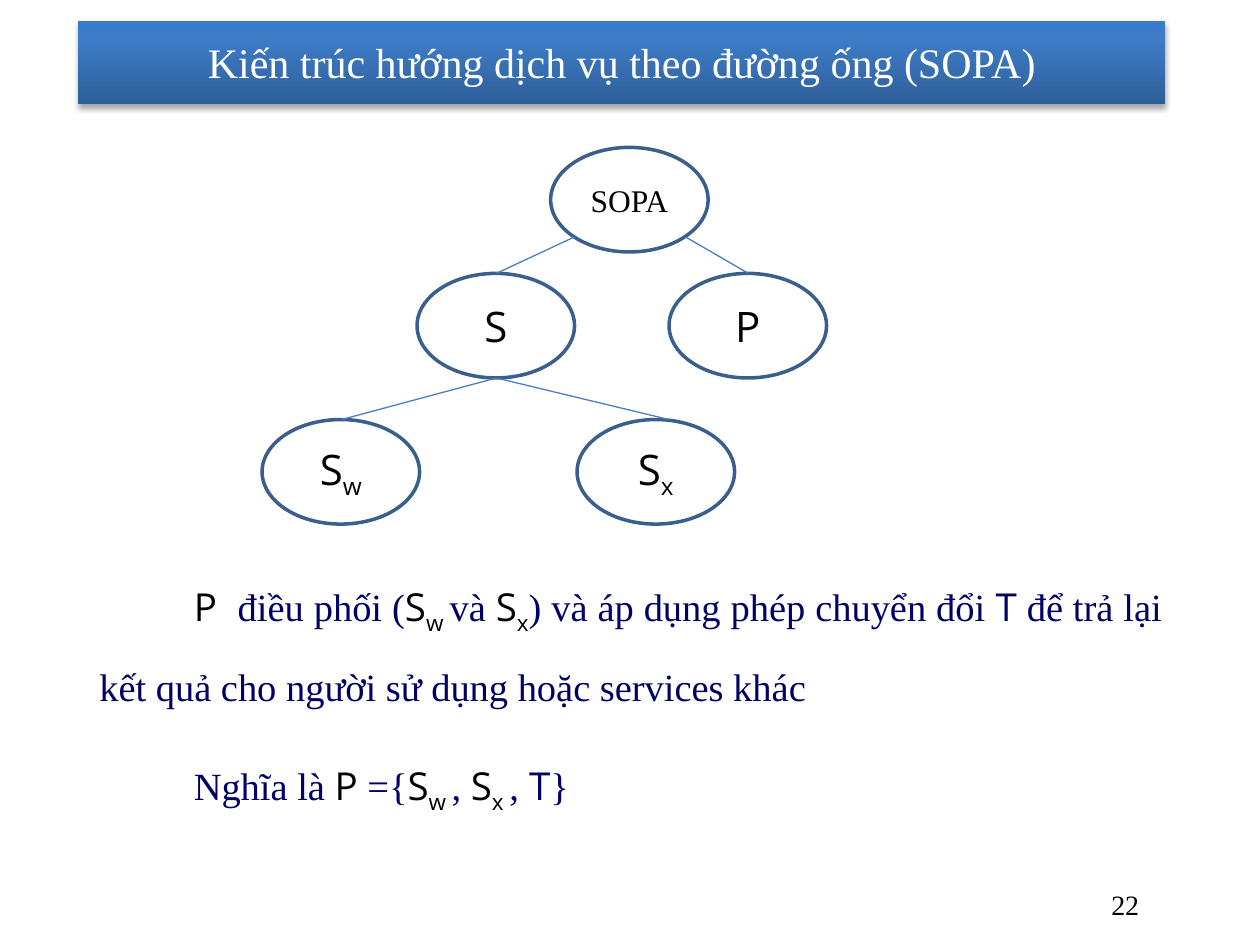
import pptx
import pptx.util
import pptx.dml.color
import pptx.enum.shapes
import pptx.enum.text
import pptx.oxml
import pptx.oxml.ns
from dataclasses import dataclass

Inches = pptx.util.Inches
Pt = pptx.util.Pt
Align = pptx.enum.text.PP_ALIGN
Anchor = pptx.enum.text.MSO_ANCHOR
Shape = pptx.enum.shapes.MSO_SHAPE
NS = pptx.oxml.ns.nsdecls("a")


@dataclass
class Theme:
    serif: str = "Times New Roman"
    sans: str = "Open Sans"
    black: str = "000000"
    navy: str = "000066"
    white: str = "FFFFFF"
    outline: str = "3A5F8C"
    link: str = "4B7EBC"
    bar: tuple = ((0, "2F5F99"), (80, "3D7CC7"), (100, "3A7CCB"))
    title_size: int = 24
    root_size: int = 18
    body_size: int = 22
    number_size: int = 16


def rgb(value):
    return pptx.dml.color.RGBColor.from_string(value)


class SlideBuilder:
    def __init__(self, deck, theme):
        self.theme = theme
        self.page = deck.slides.add_slide(deck.slide_layouts[5])
        self.shapes = self.page.shapes
        # Style name: font, colour, subscript
        self.styles = {
            "prose": (theme.serif, theme.navy, False),
            "symbol": (theme.sans, theme.black, False),
            "sub": (theme.sans, theme.black, True),
            "map": (theme.sans, theme.navy, False),
            "label": (theme.serif, theme.black, False),
            "title": (theme.serif, theme.white, False),
        }

    def fill_para(self, para, spans, size, align):
        para.alignment = align
        for style, text in spans:
            name, color, subscript = self.styles[style]
            span = para.add_run()
            span.text = text
            span.font.name = name
            span.font.size = Pt(size)
            span.font.color.rgb = rgb(color)
            if subscript:
                span.font._element.set("baseline", "-25000")

    def bar(self, left, top, width, height):
        bar = self.shapes.add_shape(Shape.RECTANGLE, Inches(left), Inches(top),
                                    Inches(width), Inches(height))
        bar.line.fill.background()
        stops = "".join(f'<a:gs pos="{pos * 1000}"><a:srgbClr val="{color}"/></a:gs>'
                        for pos, color in self.theme.bar)
        gradient = pptx.oxml.parse_xml(
            f'<a:gradFill {NS} rotWithShape="1"><a:gsLst>{stops}</a:gsLst>'
            '<a:lin ang="16200000" scaled="0"/></a:gradFill>')
        shadow = pptx.oxml.parse_xml(
            f'<a:effectLst {NS}><a:outerShdw blurRad="{Pt(3.1)}" dist="{Pt(1.8)}" '
            'dir="5400000" rotWithShape="0"><a:srgbClr val="000000">'
            '<a:alpha val="35000"/></a:srgbClr></a:outerShdw></a:effectLst>')
        properties = bar._element.spPr
        properties.insert(2, gradient)
        properties.append(shadow)
        # Behind the title
        self.shapes._spTree.insert(2, bar._element)

    def title(self, left, top, width, height, text):
        box = self.shapes.title
        box.left, box.top = Inches(left), Inches(top)
        box.width, box.height = Inches(width), Inches(height)
        box.text_frame.vertical_anchor = Anchor.MIDDLE
        self.fill_para(box.text_frame.paragraphs[0], [("title", text)],
                       self.theme.title_size, Align.CENTER)

    def text(self, left, top, width, height, paragraphs, size, align,
             anchor=Anchor.TOP, first_indent=0, line_spacing=1.0, gap=0):
        box = self.shapes.add_textbox(Inches(left), Inches(top),
                                      Inches(width), Inches(height))
        frame = box.text_frame
        frame.word_wrap = True
        frame.vertical_anchor = anchor
        for index, spans in enumerate(paragraphs):
            para = frame.add_paragraph() if index else frame.paragraphs[0]
            para.line_spacing = line_spacing
            para.space_before = para.space_after = Pt(gap)
            properties = para._p.get_or_add_pPr()
            properties.set("marL", "0")
            properties.set("indent", str(Inches(first_indent)))
            self.fill_para(para, spans, size, align)

    def node(self, left, top, width, height, spans, size):
        oval = self.shapes.add_shape(Shape.OVAL, Inches(left), Inches(top),
                                     Inches(width), Inches(height))
        oval.shadow.inherit = False
        oval.fill.background()
        oval.line.color.rgb = rgb(self.theme.outline)
        oval.line.width = Pt(2)
        oval.text_frame.vertical_anchor = Anchor.MIDDLE
        self.fill_para(oval.text_frame.paragraphs[0], spans, size, Align.CENTER)

    def link(self, start, end):
        line = self.shapes.add_connector(
            pptx.enum.shapes.MSO_CONNECTOR.STRAIGHT,
            *(Inches(value) for value in start + end))
        line.line.color.rgb = rgb(self.theme.link)
        line.line.width = Pt(0.75)
        line._element.spPr.append(pptx.oxml.parse_xml(f"<a:effectLst {NS}/>"))


deck = pptx.Presentation()
deck.slide_width, deck.slide_height = Inches(10), Inches(7.5)
theme = Theme()
slide = SlideBuilder(deck, theme)

# Heading
slide.bar(0.62, 0.17, 8.63, 0.66)
slide.title(0.62, 0.15, 8.63, 0.68, "Kiến trúc hướng dịch vụ theo đường ống (SOPA)")

# Explanation
slide.text(0.69, 4.33, 8.63, 3.14, [
    [("symbol", "P  "), ("prose", "điều phối ("), ("symbol", "S"), ("sub", "w "),
     ("prose", "và "), ("symbol", "S"), ("sub", "x"),
     ("prose", ") và áp dụng phép chuyển đổi "), ("map", "T"),
     ("prose", " để trả lại kết quả cho người sử dụng hoặc services khác")],
    [("prose", "Nghĩa là "), ("symbol", "P"), ("prose", " ={"), ("symbol", "S"),
     ("sub", "w "), ("prose", ", "), ("symbol", "S"), ("sub", "x "),
     ("prose", ","), ("map", " T"), ("prose", "}")],
], theme.body_size, Align.JUSTIFY, first_indent=0.75, line_spacing=1.6, gap=6)

# Tree nodes
node_width, node_height = 1.25, 0.83
for left, top, spans, size in [
    (4.37, 1.17, [("label", "SOPA")], theme.root_size),
    (3.31, 2.17, [("symbol", "S")], theme.title_size),
    (5.31, 2.17, [("symbol", "P")], theme.title_size),
    (2.08, 3.33, [("symbol", "S"), ("sub", "w")], theme.title_size),
    (4.58, 3.33, [("symbol", "S"), ("sub", "x")], theme.title_size),
]:
    slide.node(left, top, node_width, node_height, spans, size)

# Tree links
service_bottom = (3.94, 3)
for start, end in [
    ((4.56, 1.88), (3.94, 2.17)),
    ((5.44, 1.88), (5.94, 2.17)),
    (service_bottom, (2.71, 3.33)),
    (service_bottom, (5.31, 3.33)),
]:
    slide.link(start, end)

# Page number
slide.text(6.81, 6.98, 2.33, 0.4, [[("label", "22")]], theme.number_size,
           Align.RIGHT, Anchor.MIDDLE)

deck.save("out.pptx")
